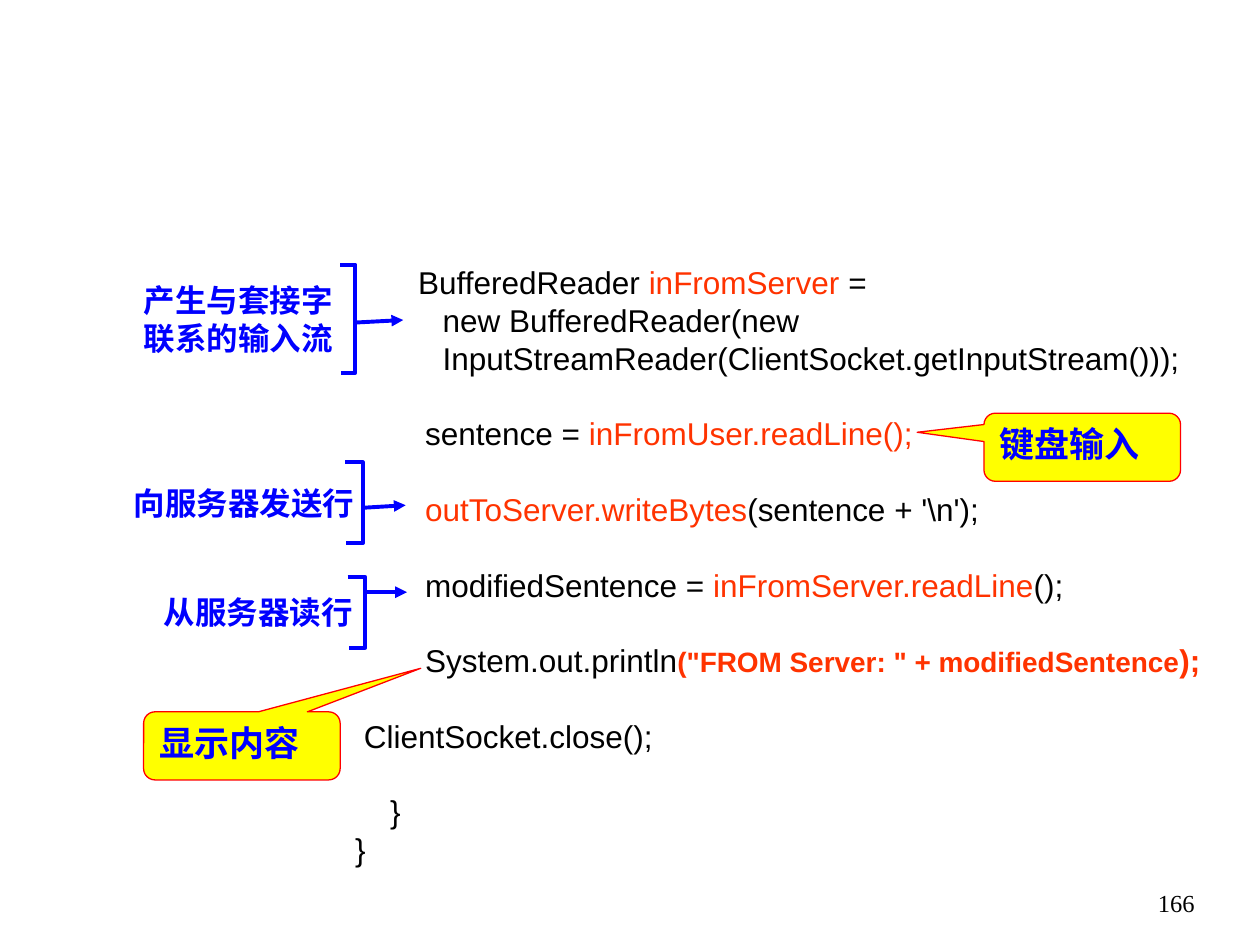
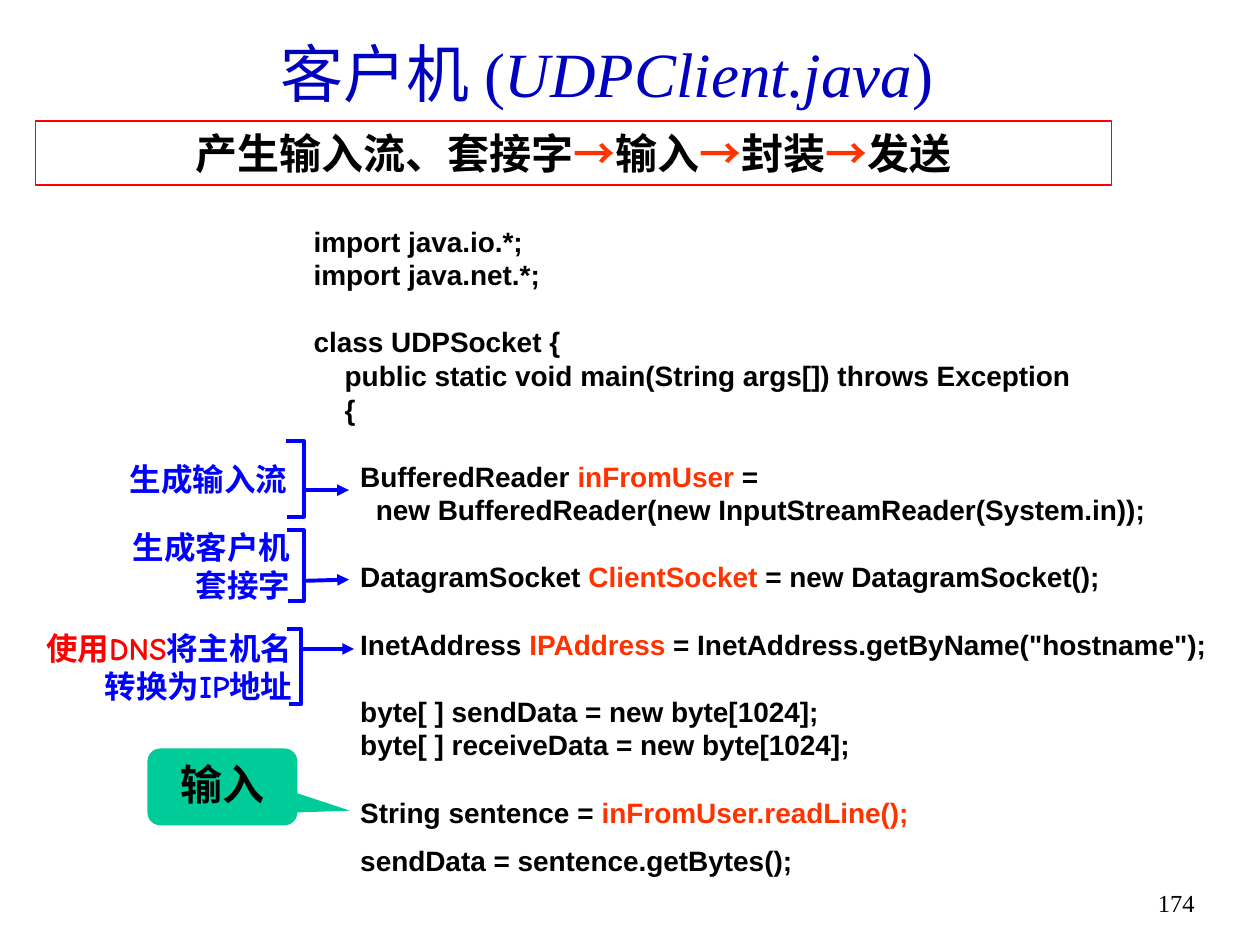
from dataclasses import dataclass

from lxml.etree import SubElement
from pptx import Presentation
from pptx.dml.color import RGBColor
from pptx.enum.shapes import MSO_CONNECTOR, MSO_SHAPE
from pptx.enum.text import MSO_ANCHOR as Anchor, PP_ALIGN as Align
from pptx.oxml.ns import qn
from pptx.util import Inches, Pt

BLACK = RGBColor(0x00, 0x00, 0x00)
BLUE = RGBColor(0x00, 0x00, 0xFF)
NAVY = RGBColor(0x00, 0x00, 0xBF)
RED = RGBColor(0xFF, 0x00, 0x00)
ORANGE = RGBColor(0xFF, 0x33, 0x00)
YELLOW = RGBColor(0xFF, 0xFF, 0x00)
GREEN = RGBColor(0x00, 0xCC, 0x99)

CODE_FONT = "Arial"
NOTE_FONT = "Comic Neue"
SERIF_FONT = "Times New Roman"
CJK_FONT = "Noto Sans CJK SC"

COLUMNS, ROWS = 100, 75
SPACE_EM = 0.278
LINE_PITCH = 1.2


def grid(cells):
    """Length of a number of grid cells, each a tenth of an inch."""
    return Inches(cells / 10)


@dataclass
class Style:
    size: float
    font: str
    color: RGBColor = BLACK
    bold: bool = False
    accent: RGBColor = ORANGE


@dataclass
class CodeLine:
    indent: float
    text: str
    gap: float = 0


@dataclass
class Note:
    """Label, bracket and arrow; the bracket's box places the rest."""
    text: str
    bracket: tuple
    label_shift: float
    label_width: float
    arrow_drop: float
    arrow_length: float
    arrow_rise: float = 0


CODE = Style(18, CODE_FONT)
BOLD_CODE = Style(16, CODE_FONT, bold=True)
LABEL = Style(18, NOTE_FONT, BLUE, True, RED)
CALLOUT = Style(20, NOTE_FONT, BLUE, True)
BIG_CALLOUT = Style(24, NOTE_FONT, BLACK, True)
TITLE = Style(36, SERIF_FONT, NAVY, accent=NAVY)
BANNER = Style(24, CJK_FONT, BLACK, True)
NUMBER = Style(14, SERIF_FONT)


def write(para, text, style, align=Align.LEFT):
    """Fill a paragraph; text between bars takes the accent colour."""
    para.alignment = align
    for index, piece in enumerate(text.split("|")):
        if not piece:
            continue
        span = para.add_run()
        span.text = piece
        span.font.size = Pt(style.size)
        span.font.name = style.font
        span.font.bold = style.bold
        span.font.color.rgb = style.accent if index % 2 else style.color
        SubElement(span.font._element, qn("a:ea")).set("typeface", CJK_FONT)


def add_text(page, box, text, style, align=Align.LEFT, anchor=Anchor.TOP):
    frame = page.shapes.add_textbox(*map(grid, box)).text_frame
    frame.word_wrap = True
    frame.vertical_anchor = anchor
    write(frame.paragraphs[0], text, style, align)
    return frame


def add_code(page, box, lines, style):
    """Code listing: indents in spaces, gaps in lines."""
    frame = page.shapes.add_textbox(*map(grid, box)).text_frame
    frame.word_wrap = True
    pitch = style.size * LINE_PITCH
    for index, line in enumerate(lines):
        para = frame.add_paragraph() if index else frame.paragraphs[0]
        write(para, line.text, style)
        para.line_spacing = Pt(pitch)
        para.space_before = Pt(line.gap * pitch)
        margin = Pt(line.indent * style.size * SPACE_EM)
        para._p.get_or_add_pPr().set("marL", str(margin))
    return frame


def add_bracket(page, box):
    left, top, width, height = map(grid, box)
    right, bottom = left + width, top + height
    builder = page.shapes.build_freeform(left, top)
    builder.add_line_segments(
        [(right, top), (right, bottom), (left + grid(0.1), bottom)], close=False)
    bracket = builder.convert_to_shape()
    bracket.shadow.inherit = False
    bracket.fill.background()
    bracket.line.color.rgb = BLUE
    bracket.line.width = Pt(2.25)


def add_arrow(page, x, y, length, rise):
    arrow = page.shapes.add_connector(
        MSO_CONNECTOR.STRAIGHT, grid(x), grid(y), grid(x + length), grid(y - rise))
    arrow.line.color.rgb = BLUE
    arrow.line.width = Pt(2.25)
    SubElement(arrow.line._get_or_add_ln(), qn("a:tailEnd")).set("type", "triangle")
    SubElement(arrow._element.spPr, qn("a:effectLst"))


def add_note(page, note):
    left, top, width, height = note.bracket
    label_left = left + note.label_shift - note.label_width
    add_text(page, (label_left, top, note.label_width, height), note.text,
             LABEL, Align.RIGHT, Anchor.MIDDLE)
    add_bracket(page, note.bracket)
    add_arrow(page, left + width, top + note.arrow_drop,
              note.arrow_length, note.arrow_rise)


def add_panel(page, kind, box, text, style, fill=None, line=None,
              align=Align.CENTER, anchor=Anchor.TOP):
    panel = page.shapes.add_shape(kind, *map(grid, box))
    panel.shadow.inherit = False
    if fill is None:
        panel.fill.background()
    else:
        panel.fill.solid()
        panel.fill.fore_color.rgb = fill
    if line is None:
        panel.line.fill.background()
    else:
        panel.line.color.rgb = line
        panel.line.width = Pt(0.75)
    panel.text_frame.word_wrap = True
    panel.text_frame.vertical_anchor = anchor
    write(panel.text_frame.paragraphs[0], text, style, align)
    return panel


def add_callout(page, box, pointer, text, style, fill, line=None, align=Align.LEFT):
    callout = add_panel(page, MSO_SHAPE.ROUNDED_RECTANGULAR_CALLOUT, box, text,
                        style, fill, line, align)
    for index, value in enumerate(pointer):
        callout.adjustments[index] = value


def new_page(deck, number):
    page = deck.slides.add_slide(deck.slide_layouts[6])
    add_text(page, (COLUMNS - 9.2, ROWS - 5, 5, 5), number, NUMBER, Align.RIGHT)
    return page


def build_tcp_client(deck):
    page = new_page(deck, "166")
    frame = add_code(page, (27.2, 20.4, 69.9, 49.1), [
        CodeLine(7.2, "BufferedReader |inFromServer| ="),
        CodeLine(10, "new BufferedReader(new"),
        CodeLine(10, "InputStreamReader(ClientSocket.getInputStream()));"),
        CodeLine(8, "sentence = |inFromUser.readLine();", 1),
        CodeLine(8, "|outToServer.writeBytes|(sentence + '\\n');", 1),
        CodeLine(8, "modifiedSentence = |inFromServer.readLine|();", 1),
        CodeLine(8, 'System.out.println|("FROM Server: " + modifiedSentence||);', 1),
        CodeLine(1, "ClientSocket.close();", 1),
        CodeLine(4, "}", 1),
        CodeLine(0, "}"),
    ], CODE)
    printed, closing = frame.paragraphs[6].runs[1:]
    printed.font.size = Pt(16)
    printed.font.bold = closing.font.bold = True

    for note in (
        Note("产生与套接字联系的输入流", (27, 21, 1.2, 8.6), 0.4, 18.8, 4.6, 3.8, 0.2),
        Note("向服务器发送行", (27.4, 36.7, 1.4, 6.4), 1.7, 22, 3.6, 3.4, 0.2),
        Note("从服务器读行", (27.6, 45.8, 1.4, 5.6), 1.4, 22, 1.2, 3.3),
    ):
        add_note(page, note)
    for text, left, top, pointer in (
        ("显示内容", 11.4, 56.5, (0.91, -1.14)),
        ("键盘输入", 78.1, 32.8, (-0.84, -0.22)),
    ):
        add_callout(page, (left, top, 15.6, 5.4), pointer, text, CALLOUT, YELLOW, RED)


def build_udp_client(deck):
    page = new_page(deck, "174")
    title = add_text(page, (5.7, 1.7, 85, 8.1), "客户机 (|UDPClient.java|)", TITLE,
                     Align.CENTER, Anchor.MIDDLE)
    title.paragraphs[0].runs[1].font.italic = True
    add_code(page, (23.9, 17.3, 73.9, 53.1), [
        CodeLine(0, "import java.io.*;"),
        CodeLine(0, "import java.net.*;"),
        CodeLine(0, "class UDPSocket {", 1),
        CodeLine(4, "public static void main(String args[]) throws Exception"),
        CodeLine(4, "{"),
        CodeLine(6, "BufferedReader |inFromUser| =", 1),
        CodeLine(8, "new BufferedReader(new InputStreamReader(System.in));"),
        CodeLine(6, "DatagramSocket |ClientSocket| = new DatagramSocket();", 1),
        CodeLine(6, 'InetAddress |IPAddress| = InetAddress.getByName("hostname");', 1),
        CodeLine(6, "byte[ ] sendData = new byte[1024];", 1),
        CodeLine(6, "byte[ ] receiveData = new byte[1024];"),
        CodeLine(6, "String sentence = |inFromUser.readLine();", 1),
        CodeLine(6, "sendData = sentence.getBytes();", 0.43),
    ], BOLD_CODE)
    for note in (
        Note("生成输入流", (22.7, 35, 1.4, 6), 1.1, 16, 3.9, 3.6),
        Note("生成客户机套接字", (22.8, 42.1, 1.3, 5.6), 1.2, 14.8, 4, 3.6, 0.1),
        Note("|使用DNS|将主机名转换为IP地址", (22.8, 49.9, 1.1, 6), 1.4, 22.6, 1.6, 4.2),
    ):
        add_note(page, note)
    add_panel(page, MSO_SHAPE.RECTANGLE, (2.8, 9.6, 85.4, 5.1),
              "产生输入流、套接字|→|输入|→|封装|→|发送", BANNER,
              line=RED, anchor=Anchor.MIDDLE)
    add_callout(page, (11.7, 59.4, 11.9, 6.1), (0.85, 0.31), "输入",
                BIG_CALLOUT, GREEN, align=Align.CENTER)


def main():
    deck = Presentation()
    deck.slide_width, deck.slide_height = grid(COLUMNS), grid(ROWS)
    build_tcp_client(deck)
    build_udp_client(deck)
    deck.save("out.pptx")


if __name__ == "__main__":
    main()
